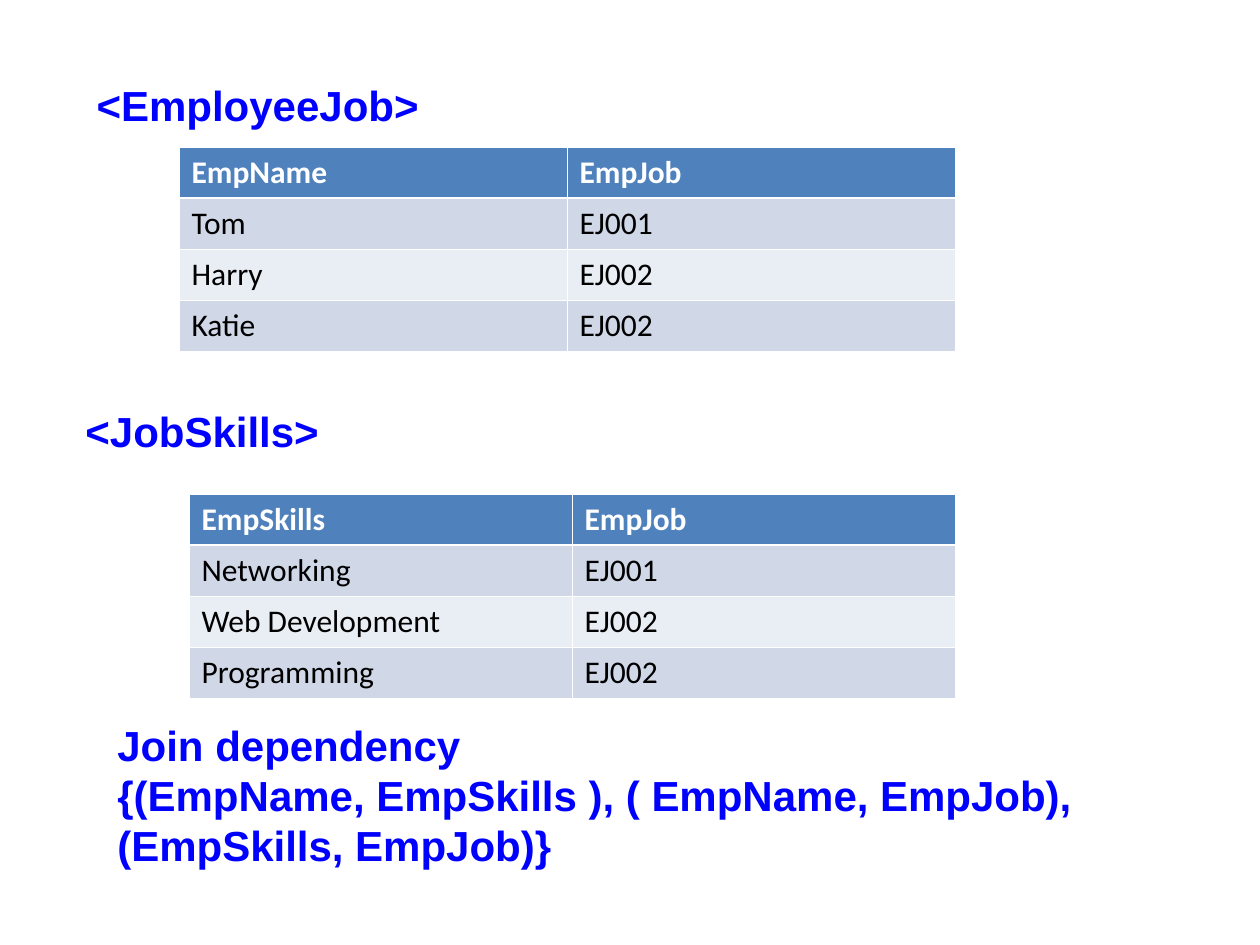
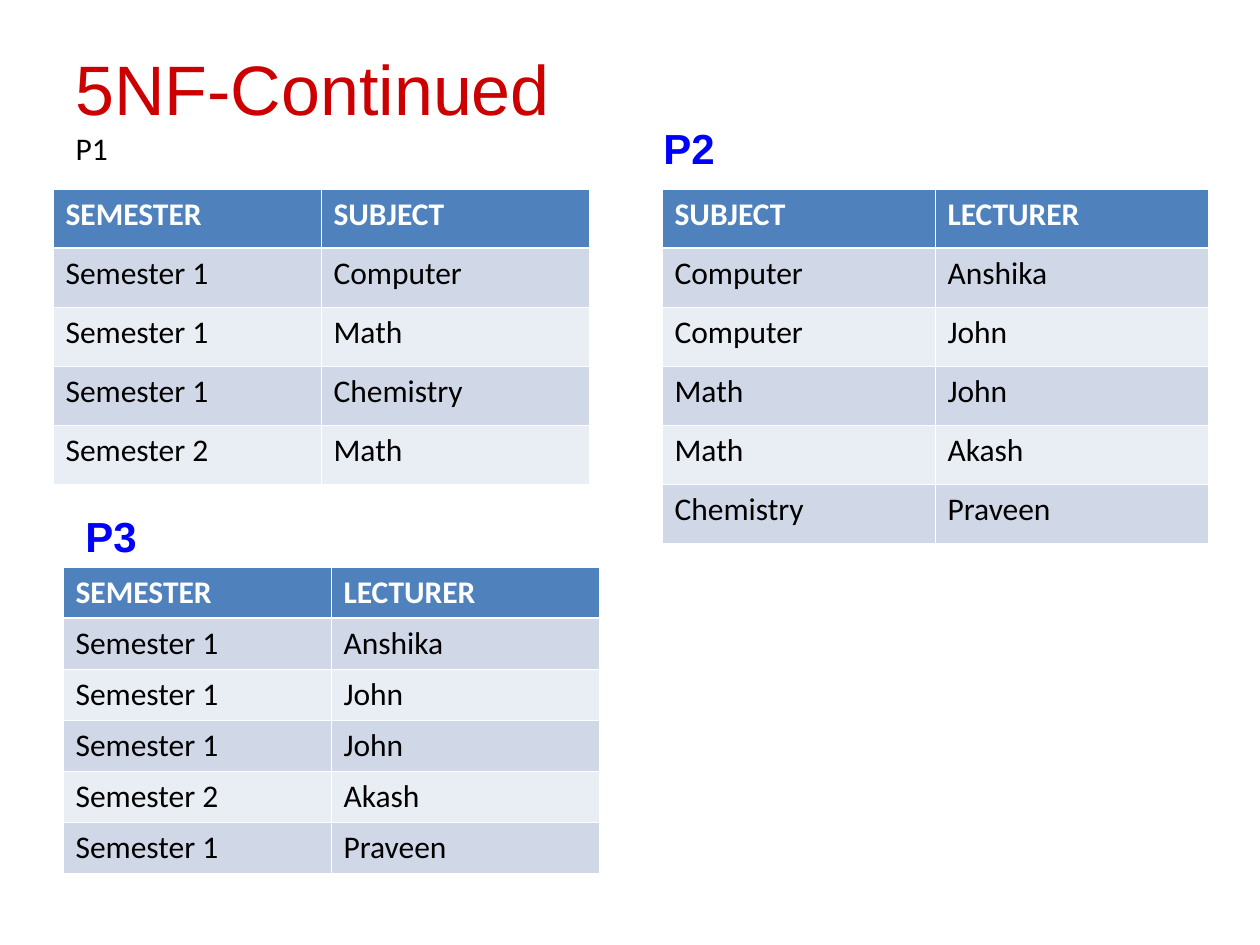
"""Build two slides that show how relations decompose into fifth normal form."""
from dataclasses import dataclass
from typing import Optional

from lxml.etree import SubElement
from pptx import Presentation
from pptx.dml.color import RGBColor
from pptx.enum.text import MSO_ANCHOR, MSO_AUTO_SIZE, PP_ALIGN
from pptx.oxml.ns import qn
from pptx.util import Emu, Pt

BLUE = RGBColor(0x00, 0x00, 0xFF)
RED = RGBColor(0xCC, 0x00, 0x00)
BLACK = RGBColor(0x00, 0x00, 0x00)
WHITE = RGBColor(0xFF, 0xFF, 0xFF)
HEADER = RGBColor(0x4F, 0x81, 0xBD)
BANDS = (RGBColor(0xD0, 0xD8, 0xE8), RGBColor(0xE9, 0xED, 0xF4))
HEAD_FONT, BODY_FONT = "Arial", "Calibri"
THIN, THICK = Pt(0.45), Pt(1.47)
TITLE_ONLY = 5


@dataclass(frozen=True)
class Line:
    text: str
    size: int = 24
    font: str = HEAD_FONT
    color: RGBColor = BLUE
    bold: bool = True


@dataclass(frozen=True)
class Label:
    left: int
    top: int
    width: int
    height: int
    lines: tuple[Line, ...]


@dataclass(frozen=True)
class Relation:
    left: int
    top: int
    col_width: int
    row_height: int
    rows: tuple[tuple[str, ...], ...]


@dataclass(frozen=True)
class Page:
    title: Label
    labels: tuple[Label, ...]
    relations: tuple[Relation, ...]


PAGES = (
    Page(
        title=Label(84, 73, 400, 63, (Line("<EmployeeJob>"),)),
        labels=(
            Label(73, 399, 346, 63, (Line("<JobSkills>"),)),
            Label(105, 713, 1124, 164, (
                Line("Join dependency"),
                Line("{(EmpName, EmpSkills ), ( EmpName, EmpJob), (EmpSkills, EmpJob)}"),
            )),
        ),
        relations=(
            Relation(179, 147, 388, 51, (
                ("EmpName", "EmpJob"),
                ("Tom", "EJ001"),
                ("Harry", "EJ002"),
                ("Katie", "EJ002"),
            )),
            Relation(189, 494, 383, 51, (
                ("EmpSkills", "EmpJob"),
                ("Networking", "EJ001"),
                ("Web Development", "EJ002"),
                ("Programming", "EJ002"),
            )),
        ),
    ),
    Page(
        title=Label(63, 39, 546, 135, (
            Line("5NF-Continued", size=40, color=RED, bold=False),
            Line("P1", size=18, font=BODY_FONT, color=BLACK, bold=False),
        )),
        labels=(
            Label(651, 116, 189, 63, (Line("P2"),)),
            Label(73, 504, 168, 63, (Line("P3"),)),
        ),
        relations=(
            Relation(53, 189, 268, 59, (
                ("SEMESTER", "SUBJECT"),
                ("Semester 1", "Computer"),
                ("Semester 1", "Math"),
                ("Semester 1", "Chemistry"),
                ("Semester 2", "Math"),
            )),
            Relation(662, 189, 273, 59, (
                ("SUBJECT", "LECTURER"),
                ("Computer", "Anshika"),
                ("Computer", "John"),
                ("Math", "John"),
                ("Math", "Akash"),
                ("Chemistry", "Praveen"),
            )),
            Relation(63, 567, 268, 51, (
                ("SEMESTER", "LECTURER"),
                ("Semester 1", "Anshika"),
                ("Semester 1", "John"),
                ("Semester 1", "John"),
                ("Semester 2", "Akash"),
                ("Semester 1", "Praveen"),
            )),
        ),
    ),
)


def px(n: int) -> Emu:
    return Emu(round(n * 914400 / 126))


def write(p, text: str, *, size: int, font: str, color: RGBColor, bold: bool) -> None:
    p.alignment = PP_ALIGN.LEFT
    r = p.add_run()
    r.text = text
    r.font.size = Pt(size)
    r.font.name = font
    r.font.color.rgb = color
    r.font.bold = bold


def draw_label(slide, label: Label, sp: Optional[object] = None) -> None:
    box = [px(n) for n in (label.left, label.top, label.width, label.height)]
    if sp is None:
        sp = slide.shapes.add_textbox(*box)
    else:
        sp.left, sp.top, sp.width, sp.height = box
    tf = sp.text_frame
    tf.word_wrap = True
    tf.auto_size = MSO_AUTO_SIZE.NONE
    tf.vertical_anchor = MSO_ANCHOR.TOP
    for i, line in enumerate(label.lines):
        p = tf.add_paragraph() if i else tf.paragraphs[0]
        write(p, line.text, size=line.size, font=line.font,
              color=line.color, bold=line.bold)


def set_borders(cell, top: int, bottom: int) -> None:
    tc_pr = cell._tc.get_or_add_tcPr()
    for side, width in (("L", THIN), ("R", THIN), ("T", top), ("B", bottom)):
        ln = SubElement(tc_pr, qn(f"a:ln{side}"), w=str(int(width)))
        fill = SubElement(ln, qn("a:solidFill"))
        SubElement(fill, qn("a:srgbClr"), val=str(WHITE))


def draw_relation(slide, rel: Relation) -> None:
    n_rows, n_cols = len(rel.rows), len(rel.rows[0])
    table = slide.shapes.add_table(
        n_rows, n_cols, px(rel.left), px(rel.top),
        px(rel.col_width * n_cols), px(rel.row_height * n_rows)).table
    for col in table.columns:
        col.width = px(rel.col_width)
    for i, values in enumerate(rel.rows):
        table.rows[i].height = px(rel.row_height)
        is_header = i == 0
        for j, value in enumerate(values):
            cell = table.cell(i, j)
            set_borders(cell, top=THICK if i == 1 else THIN,
                        bottom=THICK if is_header else THIN)
            cell.fill.solid()
            cell.fill.fore_color.rgb = HEADER if is_header else BANDS[(i - 1) % 2]
            write(cell.text_frame.paragraphs[0], value, size=18, font=BODY_FONT,
                  color=WHITE if is_header else BLACK, bold=is_header)


def draw_page(prs, page: Page) -> None:
    slide = prs.slides.add_slide(prs.slide_layouts[TITLE_ONLY])
    draw_label(slide, page.title, slide.shapes.title)
    for rel in page.relations:
        draw_relation(slide, rel)
    for label in page.labels:
        draw_label(slide, label)


def main() -> None:
    prs = Presentation()
    prs.slide_width, prs.slide_height = px(1260), px(945)
    for page in PAGES:
        draw_page(prs, page)
    prs.save("out.pptx")


main()
